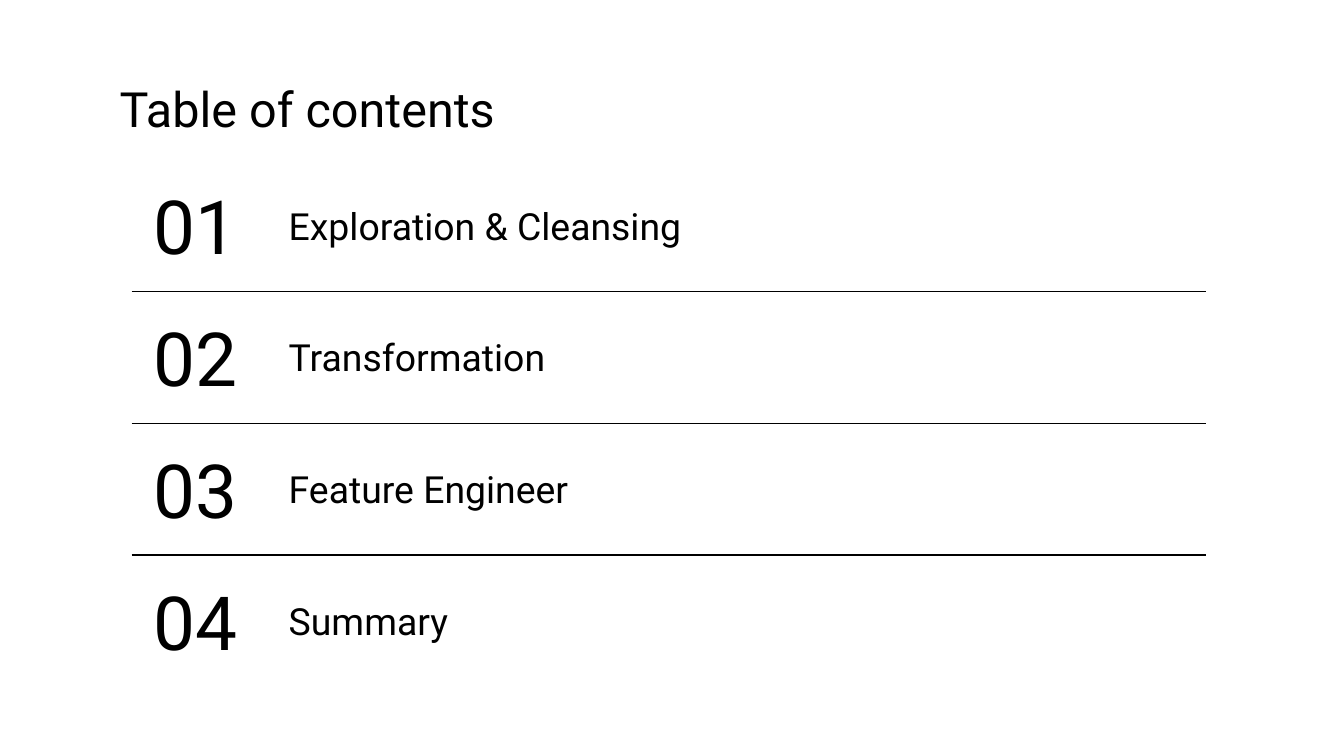
from dataclasses import dataclass

from lxml.etree import SubElement
from pptx import Presentation
from pptx.dml.color import RGBColor
from pptx.enum.shapes import MSO_CONNECTOR
from pptx.enum.text import MSO_ANCHOR as Anchor, MSO_AUTO_SIZE, PP_ALIGN as Align
from pptx.oxml.ns import qn
from pptx.util import Inches, Pt

TITLE = "Table of contents"
SECTIONS = ["Exploration & Cleansing", "Transformation", "Feature Engineer", "Summary"]


@dataclass(frozen=True)
class Theme:
    font: str = "Roboto"
    ink: RGBColor = RGBColor(0, 0, 0)
    paper: RGBColor = RGBColor(255, 255, 255)
    title_size: int = 26
    number_size: int = 40
    section_size: int = 20
    rule_width: float = 0.75


THEME = Theme()
SLIDE_WIDTH = 10
SLIDE_HEIGHT = SLIDE_WIDTH * 9 / 16
TITLE_BOX = (0.79, 0.49, 8.43, 0.63)
FIRST_ROW, ROW_PITCH = 1.26, 0.98
NUMBER_LEFT, NUMBER_WIDTH, NUMBER_HEIGHT = 1.03, 0.85, 0.83
SECTION_LEFT, SECTION_WIDTH, SECTION_HEIGHT = 2.05, 4.24, 0.43
RULE_LEFT, RULE_RIGHT, RULE_OFFSET = 0.98, 8.97, 0.91


def write(shape, box, text, size, align=Align.LEFT, anchor=Anchor.MIDDLE):
    shape.left, shape.top, shape.width, shape.height = map(Inches, box)
    frame = shape.text_frame
    frame.text = text
    frame.word_wrap = True
    frame.auto_size = MSO_AUTO_SIZE.NONE
    frame.vertical_anchor = anchor
    frame.margin_left = frame.margin_right = Inches(0.1)
    frame.margin_top = frame.margin_bottom = Inches(0.1)
    paragraph = frame.paragraphs[0]
    paragraph.alignment = align
    paragraph.line_spacing = 1.0
    font = paragraph.runs[0].font
    font.name = THEME.font
    font.size = Pt(size)
    font.color.rgb = THEME.ink


def add_text(slide, box, text, size, align=Align.LEFT):
    write(slide.shapes.add_textbox(0, 0, 0, 0), box, text, size, align)


def add_rule(slide, top):
    rule = slide.shapes.add_connector(
        MSO_CONNECTOR.STRAIGHT,
        Inches(RULE_LEFT), Inches(top), Inches(RULE_RIGHT), Inches(top),
    )
    rule.line.color.rgb = THEME.ink
    rule.line.width = Pt(THEME.rule_width)
    SubElement(rule.element.spPr, qn("a:effectLst"))


def add_section(slide, index, name):
    top = FIRST_ROW + index * ROW_PITCH
    number_box = (NUMBER_LEFT, top, NUMBER_WIDTH, NUMBER_HEIGHT)
    section_top = top + (NUMBER_HEIGHT - SECTION_HEIGHT) / 2
    section_box = (SECTION_LEFT, section_top, SECTION_WIDTH, SECTION_HEIGHT)
    add_text(slide, number_box, f"{index + 1:02}", THEME.number_size, Align.CENTER)
    add_text(slide, section_box, name, THEME.section_size)
    if index < len(SECTIONS) - 1:
        add_rule(slide, top + RULE_OFFSET)


def main():
    presentation = Presentation()
    presentation.slide_width = Inches(SLIDE_WIDTH)
    presentation.slide_height = Inches(SLIDE_HEIGHT)
    slide = presentation.slides.add_slide(presentation.slide_layouts.get_by_name("Title Only"))
    slide.background.fill.solid()
    slide.background.fill.fore_color.rgb = THEME.paper
    write(slide.shapes.title, TITLE_BOX, TITLE, THEME.title_size, anchor=Anchor.TOP)
    for index, name in enumerate(SECTIONS):
        add_section(slide, index, name)
    presentation.save("out.pptx")


if __name__ == "__main__":
    main()
